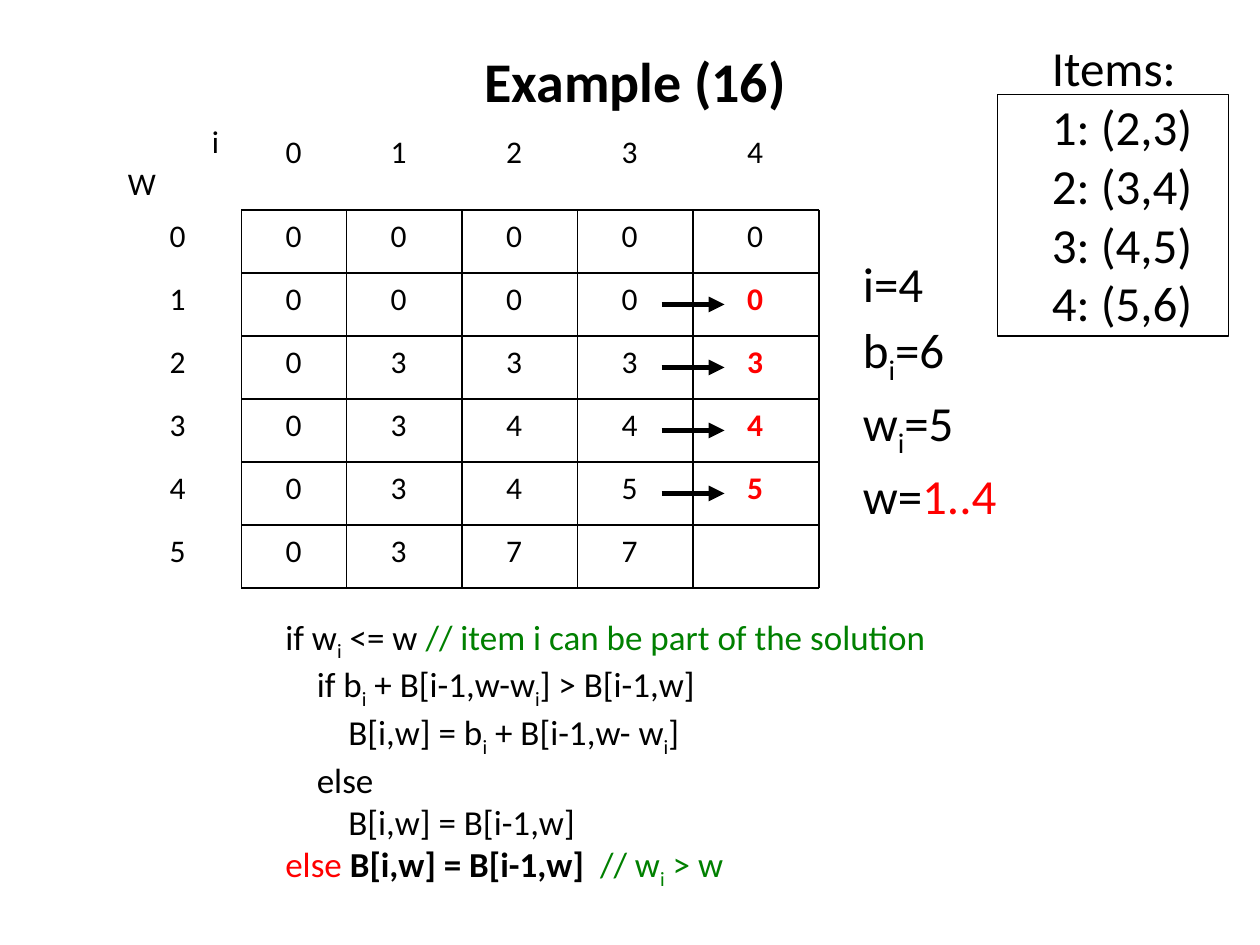
from itertools import accumulate

from lxml import etree
from pptx import Presentation
from pptx.dml.color import RGBColor
from pptx.enum.shapes import MSO_CONNECTOR, MSO_SHAPE
from pptx.enum.text import MSO_ANCHOR, PP_ALIGN
from pptx.oxml.ns import qn
from pptx.util import Inches, Pt

STRAIGHT, RECTANGLE = MSO_CONNECTOR.STRAIGHT, MSO_SHAPE.RECTANGLE
TOP, MIDDLE, CENTER = MSO_ANCHOR.TOP, MSO_ANCHOR.MIDDLE, PP_ALIGN.CENTER
BLACK, RED, GREEN = "000000", "FF0000", "008000"
PLAIN_TABLE = "{2D5ABB26-0587-4C30-8999-92F81FD0307C}"
COLUMNS, ROWS = 120, 90  # slide grid, twelve steps to the inch

BENEFITS = [
    ["", "0", "1", "2", "3", "4"],
    ["0", "0", "0", "0", "0", "0"],
    ["1", "0", "0", "0", "0", "0"],
    ["2", "0", "3", "3", "3", "3"],
    ["3", "0", "3", "4", "4", "4"],
    ["4", "0", "3", "4", "5", "5"],
    ["5", "0", "3", "7", "7", ""],
]
COLUMN_WIDTHS = [12, 10, 11, 11, 11, 12]
ROW_HEIGHTS = [8, 6, 6, 6, 6, 6, 6]
SOLVED_ROWS = range(2, 6)  # table rows whose last value is new

# Each line is an indent level and its spans; "_" lowers the next letter
CODE = [
    (1, [("if w_i <= w ", {}), ("// item i can be part of the solution", {"color": GREEN})]),
    (2, [("if b_i + B[i-1,w-w_i] > B[i-1,w]", {})]),
    (3, [("B[i,w] = b_i + B[i-1,w- w_i]", {})]),
    (2, [("else", {})]),
    (3, [("B[i,w] = B[i-1,w]", {})]),
    (1, [("else ", {"color": RED}), ("B[i,w] = B[i-1,w]  ", {"bold": True}),
         ("// w_i > w", {"color": GREEN})]),
]
STATE = [
    (0, [("i=4", {})]),
    (0, [("b_i=6", {})]),
    (0, [("w_i=5", {})]),
    (0, [("w=", {}), ("1..4", {"color": RED})]),
]
ITEMS = ["Items:", "1: (2,3)", "2: (3,4)", "3: (4,5)", "4: (5,6)"]


def grid(steps):
    return Inches(steps / 12)


def rgb(value):
    return RGBColor.from_string(value)


def apply(target, values):
    for name, value in values.items():
        setattr(target, name, value)


def add_span(para, text, size, color=BLACK, bold=False, lowered=False):
    span = para.add_run()
    span.text = text
    apply(span.font, {"name": "Calibri", "size": Pt(size), "bold": bold})
    span.font.color.rgb = rgb(color)
    if lowered:
        span._r.get_or_add_rPr().set("baseline", "-25000")


def add_spans(para, text, size, **style):
    first, *others = text.split("_")
    add_span(para, first, size, **style)
    for part in others:
        add_span(para, part[0], size, lowered=True, **style)
        add_span(para, part[1:], size, **style)


def add_text(page, box, lines, size, anchor=TOP, para_format=None):
    frame = page.shapes.add_textbox(*map(grid, box)).text_frame
    apply(frame, {"word_wrap": True, "vertical_anchor": anchor})
    for number, (level, spans) in enumerate(lines):
        para = frame.add_paragraph() if number else frame.paragraphs[0]
        apply(para, para_format or {})
        if level:
            para._p.get_or_add_pPr().set("marL", str(Inches(0.25 * level)))
        for text, style in spans:
            add_spans(para, text, size, **style)


def style_line(line, width):
    line.color.rgb = rgb(BLACK)
    line.width = Pt(width)


def add_line(page, ends, width=0.75, arrow=False):
    connector = page.shapes.add_connector(STRAIGHT, *map(grid, ends))
    style_line(connector.line, width)
    if arrow:
        etree.SubElement(connector.line._get_or_add_ln(), qn("a:tailEnd"), type="triangle")
    etree.SubElement(connector._element.spPr, qn("a:effectLst"))


def fill_table(table):
    last = len(COLUMN_WIDTHS) - 1
    for row, texts in enumerate(BENEFITS):
        for column, text in enumerate(texts):
            cell = table.cell(row, column)
            inset = 0.43 if COLUMN_WIDTHS[column] == 12 else 0.35
            apply(cell, {"margin_left": Inches(inset), "margin_right": 0,
                         "margin_top": Inches(0.06), "margin_bottom": Inches(0.05)})
            cell.fill.background()
            if text:
                solved = column == last and row in SOLVED_ROWS
                add_span(cell.text_frame.paragraphs[0], text, 18,
                         RED if solved else BLACK, solved)


def add_benefit_table(page, box):
    left, top, width, height = box
    table = page.shapes.add_table(len(ROW_HEIGHTS), len(COLUMN_WIDTHS),
                                  *map(grid, box)).table
    apply(table, {"first_row": False, "horz_banding": False})
    table._tbl.tblPr.find(qn("a:tableStyleId")).text = PLAIN_TABLE
    for column, steps in zip(table.columns, COLUMN_WIDTHS):
        column.width = grid(steps)
    for row, steps in zip(table.rows, ROW_HEIGHTS):
        row.height = grid(steps)
    fill_table(table)

    # Rules around the values, leaving the headings open
    across = [left + steps for steps in accumulate(COLUMN_WIDTHS)]
    down = [top + steps for steps in accumulate(ROW_HEIGHTS)]
    for x in across:
        add_line(page, (x, down[0], x, down[-1]))
    for y in down:
        add_line(page, (across[0], y, across[-1], y))

    # Axis names in the corner
    add_text(page, (left, top + 3, 6, 6), [(0, [("W", {})])], 18)
    add_text(page, (left + 8, top - 1, 4, 6), [(0, [("i", {})])], 18)

    # Arrows carrying values into the last column
    border = across[-2]
    for row in SOLVED_ROWS:
        middle = (down[row - 1] + down[row]) / 2
        add_line(page, (border - 3, middle, border + 3, middle), 3, arrow=True)


def add_item_list(page, box):
    left, top, width, height = box
    frame = page.shapes.add_shape(RECTANGLE, *map(grid, (left, top + 6, width, height - 6)))
    frame.shadow.inherit = False
    frame.fill.background()
    style_line(frame.line, 0.75)
    add_text(page, (left + 4, top, width - 4, height),
             [(0, [(item, {})]) for item in ITEMS], 28)


def main():
    deck = Presentation()
    deck.slide_width, deck.slide_height = grid(COLUMNS), grid(ROWS)
    page = deck.slides.add_slide(deck.slide_layouts[6])

    # Title
    add_text(page, (28, 4, 65, 8), [(0, [("Example (16)", {"bold": True})])], 32,
             MIDDLE, {"alignment": CENTER, "line_spacing": 0.9})
    # Table of best benefits, with its rules, axes and arrows
    add_benefit_table(page, (11, 12, sum(COLUMN_WIDTHS), sum(ROW_HEIGHTS)))
    # Current state, item list and algorithm
    add_text(page, (81, 23, 19, 26), STATE, 28, para_format={"line_spacing": 1.1})
    add_item_list(page, (95, 3, 22, 29))
    add_text(page, (23, 58, 91, 25), CODE, 20)

    deck.save("out.pptx")


if __name__ == "__main__":
    main()
